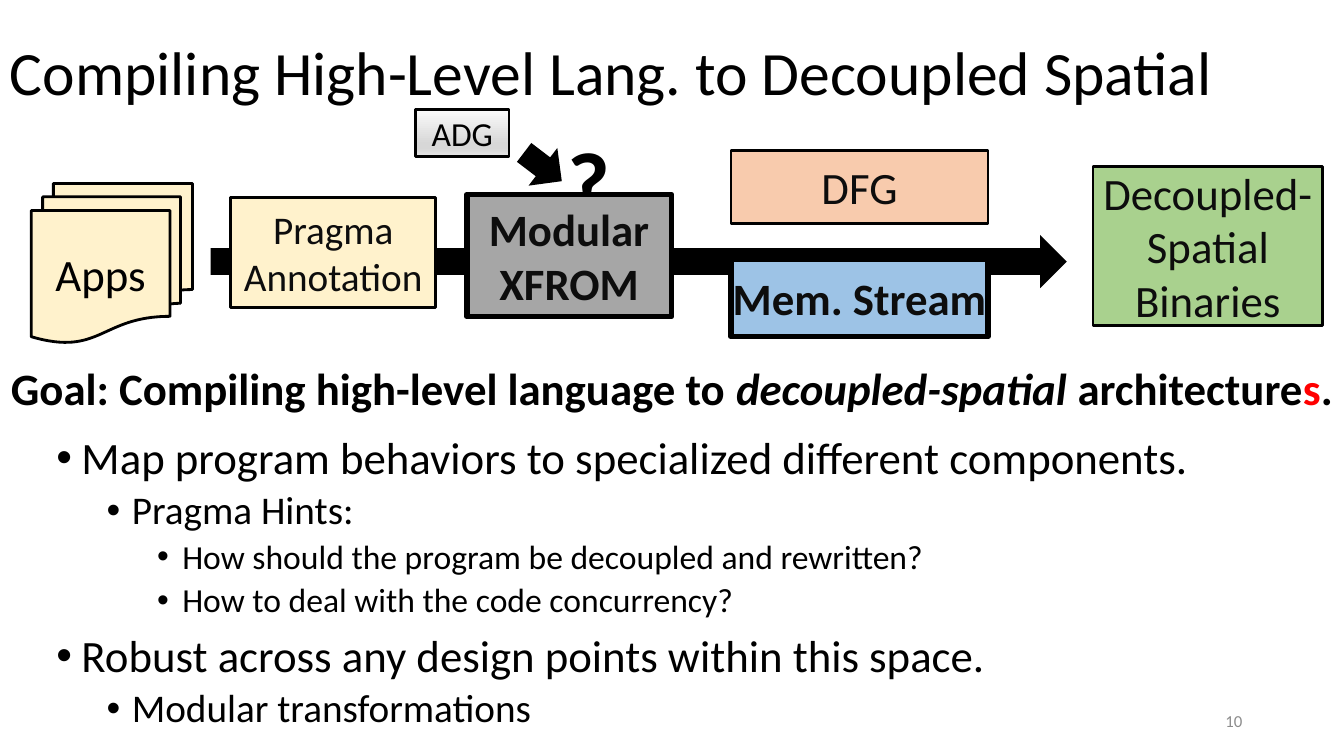
import dataclasses
import typing

import lxml.etree
import pptx
import pptx.dml.color
import pptx.enum.shapes
import pptx.enum.text
import pptx.oxml.ns
import pptx.util

Inches = pptx.util.Inches
Kind = pptx.enum.shapes.MSO_SHAPE
Align = pptx.enum.text.PP_ALIGN
Anchor = pptx.enum.text.MSO_ANCHOR
AutoSize = pptx.enum.text.MSO_AUTO_SIZE
qn = pptx.oxml.ns.qn

COLORS = {
    "black": "000000", "ink": "0D0D0D", "red": "FF0000", "number": "8C8C8C",
    "cream": "FFF2CC", "green": "A9D18E", "peach": "F8CBAD",
    "gray": "A6A6A6", "blue": "9DC3E6",
}
ADG_STOPS = [(0, "FAFAFA"), (74, "D7D7D7"), (83, "D7D7D7"), (100, "E4E4E4")]
BULLET_SIZES = [32, 28, 24]


@dataclasses.dataclass
class Run:
    text: str
    size: float
    color: str = "black"
    bold: bool = False
    italic: bool = False


@dataclasses.dataclass
class Paragraph:
    runs: list[Run]
    format: dict[str, typing.Any] = dataclasses.field(default_factory=dict)
    bullet_level: typing.Optional[int] = None


@dataclasses.dataclass
class TextBlock:
    box: tuple[float, float, float, float]
    paragraphs: list[Paragraph]
    frame: dict[str, typing.Any] = dataclasses.field(default_factory=dict)


@dataclasses.dataclass
class Block:
    box: tuple[float, float, float, float]
    fill: str
    label: typing.Optional[Run] = None
    line: float = 2
    kind: Kind = Kind.RECTANGLE
    rotation: float = 0
    wrap: bool = True


def rgb(name: str) -> pptx.dml.color.RGBColor:
    return pptx.dml.color.RGBColor.from_string(COLORS[name])


def set_attributes(target: typing.Any, values: dict[str, typing.Any]) -> None:
    for name, value in values.items():
        setattr(target, name, value)


def add_bullet(paragraph: typing.Any, level: int) -> None:
    paragraph.level = level
    properties = paragraph._p.get_or_add_pPr()
    properties.set("marL", str(Inches(0.25 + 0.5 * level)))
    properties.set("indent", str(Inches(-0.25)))
    lxml.etree.SubElement(properties, qn("a:buFont")).set("typeface", "Arial")
    lxml.etree.SubElement(properties, qn("a:buChar")).set("char", "•")


def write_text(shape: typing.Any, paragraphs: list[Paragraph],
               frame: dict[str, typing.Any]) -> None:
    text_frame = shape.text_frame
    set_attributes(text_frame, {"word_wrap": True, **frame})
    for index, content in enumerate(paragraphs):
        paragraph = text_frame.add_paragraph() if index else text_frame.paragraphs[0]
        set_attributes(paragraph, content.format)
        if content.bullet_level is not None:
            add_bullet(paragraph, content.bullet_level)
        for part in content.runs:
            run = paragraph.add_run()
            run.text = part.text
            set_attributes(run.font, {
                "name": "Calibri", "size": pptx.util.Pt(part.size),
                "bold": part.bold, "italic": part.italic,
            })
            run.font.color.rgb = rgb(part.color)


def add_text(slide: typing.Any, block: TextBlock) -> None:
    shape = slide.shapes.add_textbox(*map(Inches, block.box))
    write_text(shape, block.paragraphs, block.frame)


def fill_gradient(shape: typing.Any, stops: list[tuple[int, str]]) -> None:
    shape.fill.gradient()
    shape.fill.gradient_angle = 270
    stop_list = shape._element.spPr.find(".//" + qn("a:gsLst"))
    for old_stop in list(stop_list):
        stop_list.remove(old_stop)
    for position, color in stops:
        stop = lxml.etree.SubElement(stop_list, qn("a:gs"))
        stop.set("pos", str(position * 1000))
        lxml.etree.SubElement(stop, qn("a:srgbClr")).set("val", color)


def add_block(slide: typing.Any, block: Block) -> None:
    shape = slide.shapes.add_shape(block.kind, *map(Inches, block.box))
    shape.shadow.inherit = False
    shape.rotation = block.rotation
    if block.fill == "gradient":
        fill_gradient(shape, ADG_STOPS)
    else:
        shape.fill.solid()
        shape.fill.fore_color.rgb = rgb(block.fill)
    if block.line:
        shape.line.color.rgb = rgb("black")
        shape.line.width = pptx.util.Pt(block.line)
    else:
        shape.line.fill.background()
    if block.label:
        write_text(shape, [Paragraph([block.label], {"alignment": Align.CENTER})],
                   {"vertical_anchor": Anchor.MIDDLE, "word_wrap": block.wrap})


def bullet(level: int, text: str) -> Paragraph:
    spacing = {"line_spacing": 0.9, "space_before": pptx.util.Pt(5 if level else 10)}
    return Paragraph([Run(text, BULLET_SIZES[level])], spacing, level)


MIDDLE = {"vertical_anchor": Anchor.MIDDLE}
GROW = {"auto_size": AutoSize.SHAPE_TO_FIT_TEXT}

ELEMENTS: list[TextBlock | Block] = [
    TextBlock((0, 0.02, 12.19, 1.45), [Paragraph(
        [Run("Compiling High-Level Lang. to Decoupled Spatial", 44)],
        {"line_spacing": 0.9})], MIDDLE),
    TextBlock((0.46, 4.27, 12.42, 3.23), [
        bullet(0, "Map program behaviors to specialized different components."),
        bullet(1, "Pragma Hints:"),
        bullet(2, "How should the program be decoupled and rewritten?"),
        bullet(2, "How to deal with the code concurrency?"),
        bullet(0, "Robust across any design points within this space."),
        bullet(1, "Modular transformations"),
    ]),
    Block((10.84, 1.65, 2.28, 1.58), "green",
          Run("Decoupled-Spatial Binaries", 32, "ink")),
    Block((0.31, 1.82, 1.6, 1.58), "cream", Run("Apps", 32),
          kind=Kind.FLOWCHART_MULTIDOCUMENT),
    TextBlock((5.53, 1.19, 0.8, 1.21), [Paragraph([Run("?", 66, bold=True)])], GROW),
    TextBlock((0.01, 3.53, 13.35, 0.64), [Paragraph([
        Run("Goal: Compiling high-level language to ", 32, bold=True),
        Run("decoupled-spatial", 32, bold=True, italic=True),
        Run(" architecture", 32, bold=True),
        Run("s", 32, "red", bold=True),
        Run(".", 32, bold=True),
    ])], GROW),
    Block((2.09, 2.33, 8.49, 0.53), "black", line=0, kind=Kind.RIGHT_ARROW),
    Block((2.29, 1.96, 2.03, 1.09), "cream", Run("Pragma Annotation", 28, "ink")),
    Block((7.25, 1.49, 2.55, 0.73), "peach", Run("DFG", 32, "ink")),
    Block((4.63, 1.93, 2.03, 1.21), "gray",
          Run("Modular XFROM", 32, "ink", bold=True), line=4),
    Block((4.12, 1.09, 0.93, 0.46), "gradient", Run("ADG", 24)),
    Block((5.15, 1.42, 0.47, 0.47), "black", line=0,
          kind=Kind.RIGHT_ARROW, rotation=37.3),
    Block((7.25, 2.57, 2.55, 0.77), "blue",
          Run("Mem. Stream", 32, "ink", bold=True), line=4, wrap=False),
    TextBlock((9.42, 6.95, 3, 0.4), [Paragraph(
        [Run("10", 12, "number")], {"alignment": Align.RIGHT})], MIDDLE),
]


def main() -> None:
    presentation = pptx.Presentation()
    presentation.slide_width = Inches(13.33)
    presentation.slide_height = Inches(7.5)
    slide = presentation.slides.add_slide(presentation.slide_layouts[6])
    for element in ELEMENTS:
        if isinstance(element, Block):
            add_block(slide, element)
        else:
            add_text(slide, element)
    presentation.save("out.pptx")


if __name__ == "__main__":
    main()
